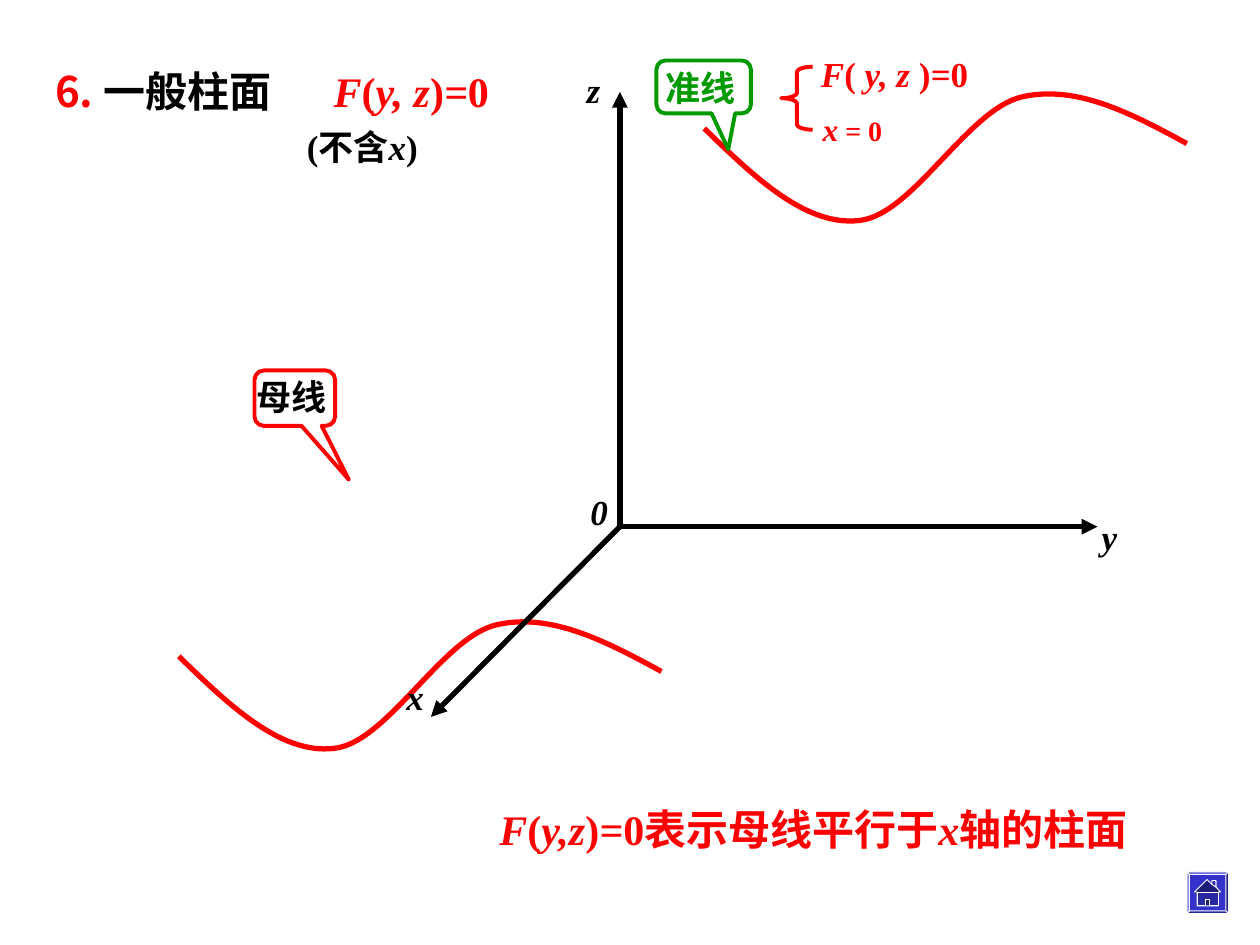
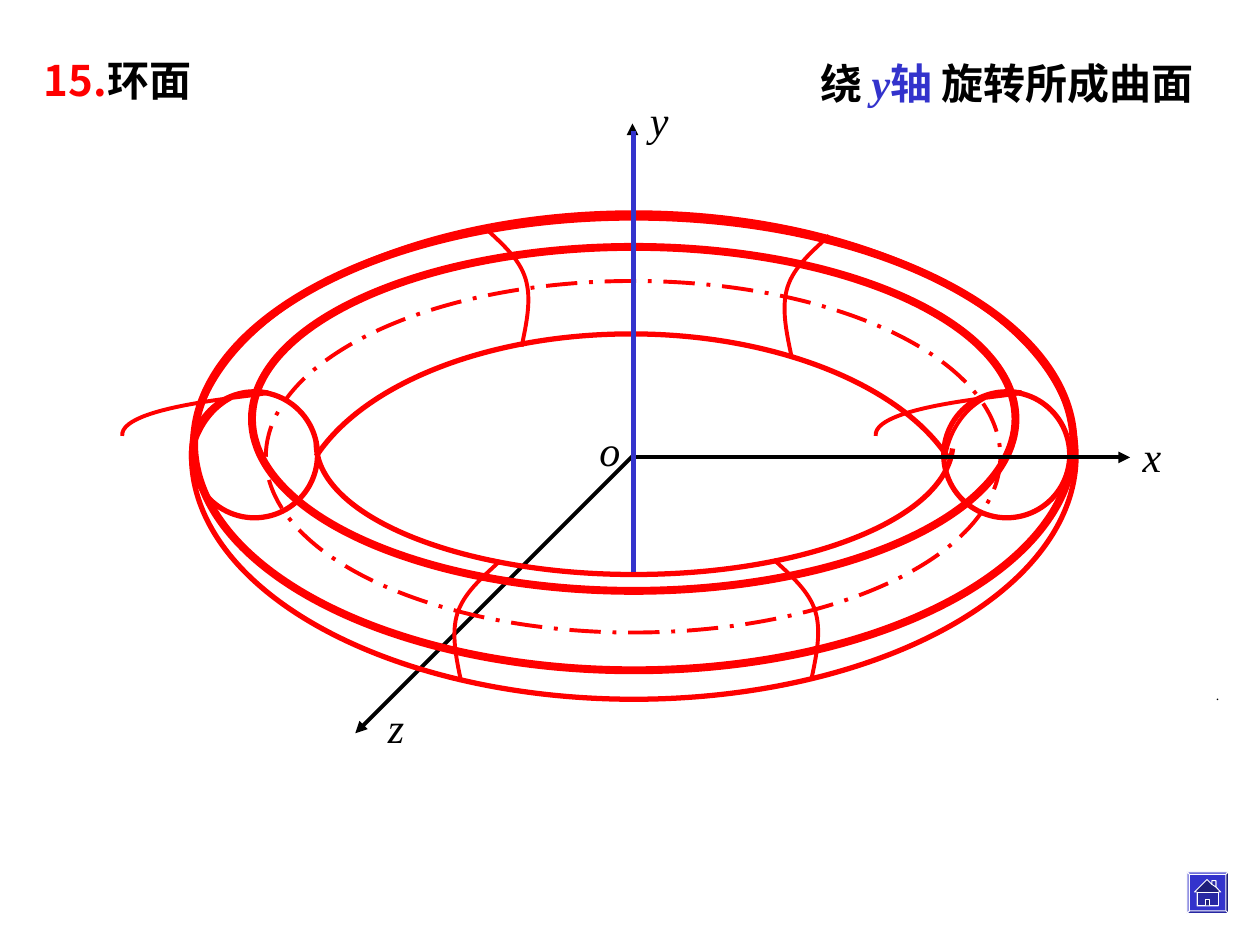
from pptx import Presentation
from pptx import util as u
from pptx.dml import color
from pptx.enum import dml, shapes, text
from pptx.oxml import ns
from lxml import etree

theme = {
    "red": color.RGBColor(0xFF, 0, 0),
    "green": color.RGBColor(0, 0x99, 0),
    "blue": color.RGBColor(0x33, 0x33, 0xCC),
    "black": color.RGBColor(0, 0, 0),
    "white": color.RGBColor(0xFF, 0xFF, 0xFF),
    "serif": "Times New Roman",
    "sans": "Noto Sans CJK SC",
    "title": u.Pt(24),
    "label": u.Pt(20),
    "note": u.Pt(18),
    "small": u.Pt(16),
    "gap": u.Pt(44),
    "dot": u.Pt(8),
}
MID, TOP = text.MSO_ANCHOR.MIDDLE, text.MSO_ANCHOR.TOP
CENTER, LEFT = text.PP_ALIGN.CENTER, text.PP_ALIGN.LEFT
OVAL = shapes.MSO_SHAPE.OVAL
CALLOUT = shapes.MSO_SHAPE.ROUNDED_RECTANGULAR_CALLOUT


def write(s, box, runs, size="label", c="black", bold=True, anchor=MID, align=CENTER,
          wrap=True, grow=True, tab=None):
    sp = s.shapes.add_textbox(*map(u.Inches, box))
    tf = sp.text_frame
    fit = text.MSO_AUTO_SIZE.SHAPE_TO_FIT_TEXT if grow else text.MSO_AUTO_SIZE.NONE
    for k, v in {"word_wrap": wrap, "vertical_anchor": anchor, "auto_size": fit}.items():
        setattr(tf, k, v)
    p = tf.paragraphs[0]
    p.alignment = align
    if tab:
        tabs = etree.SubElement(p._p.get_or_add_pPr(), ns.qn("a:tabLst"))
        etree.SubElement(tabs, ns.qn("a:tab"), pos=str(u.Inches(tab)), algn="l")
    for words, own in runs:
        r = p.add_run()
        r.text = words
        fmt = {"size": size, "c": c, "name": "serif", "italic": False} | own
        r.font.color.rgb = theme[fmt["c"]]
        for k, v in {"size": theme[fmt["size"]], "name": theme[fmt["name"]],
                     "bold": bold, "italic": fmt["italic"]}.items():
            setattr(r.font, k, v)
        etree.SubElement(r._r.get_or_add_rPr(), ns.qn("a:ea"), typeface=theme["sans"])
    return sp


def draw(s, kind, geom, c="red", width=3, fill=None, adj=(), dash=None, arrow=False, shades=()):
    if kind == "line":
        sp = s.shapes.add_connector(shapes.MSO_CONNECTOR.STRAIGHT, *map(u.Inches, geom))
    elif kind in ("curve", "faces"):
        contours = [[(u.Inches(x), u.Inches(y)) for x, y in pts]
                    for pts in (geom if kind == "faces" else [geom])]
        fb = s.shapes.build_freeform(*contours[0][0])
        for i, pts in enumerate(contours):
            if i:
                fb.move_to(*pts[0])
            fb.add_line_segments(pts[1:], close=kind == "faces")
        sp = fb.convert_to_shape()
        outline = next(sp._element.spPr.iter(ns.qn("a:path")))
        steps = list(outline)
        if kind == "curve":
            for i in range(1, len(steps), 3):
                bezier = etree.SubElement(outline, ns.qn("a:cubicBezTo"))
                for step in steps[i:i + 3]:
                    bezier.append(step[0])
                    outline.remove(step)
        else:
            size = {k: outline.get(k) for k in ("w", "h")}
            holder, tones = outline.getparent(), iter(shades)
            holder.remove(outline)
            for step in steps:
                if step.tag == ns.qn("a:moveTo"):
                    face = etree.SubElement(holder, ns.qn("a:path"), fill=next(tones), **size)
                face.append(step)
    else:
        sp = s.shapes.add_shape(kind, *map(u.Inches, geom))
    for i, v in enumerate(adj):
        sp.adjustments[i] = v
    sp.line.color.rgb = theme[c]
    sp.line.width = u.Pt(width)
    if dash:
        sp.line.dash_style = dash
    if arrow:
        etree.SubElement(sp.line._get_or_add_ln(), ns.qn("a:tailEnd"), type="triangle")
    if kind == "line":
        etree.SubElement(sp._element.spPr, ns.qn("a:effectLst"))
        return
    sp.shadow.inherit = False
    if fill:
        sp.fill.solid()
        sp.fill.fore_color.rgb = theme[fill]
    else:
        sp.fill.background()


prs = Presentation()
prs.slide_width, prs.slide_height = u.Inches(10), u.Inches(7.5)
cylinder, torus = [prs.slides.add_slide(prs.slide_layouts[6]) for _ in range(2)]
it = {"italic": True}

s = cylinder
directrix = [(5.59, 1.02), (5.99, 1.41), (6.4, 1.8), (6.82, 1.75), (7.24, 1.71),
             (7.68, 0.87), (8.11, 0.77), (8.54, 0.67), (8.98, 0.9), (9.42, 1.14)]
for dx, dy in [(0, 0), (-4.17, 4.19)]:
    draw(s, "curve", [(x + dx, y + dy) for x, y in directrix])

draw(s, CALLOUT, (2.02, 2.94, 0.64, 0.44), width=2.25, adj=(0.67, 1.47, 0.17))
write(s, (1.8, 2.93, 1.03, 0.44), [("母线", {})])
write(s, (5.18, 0.48, 0.81, 0.44), [("准线", {})], c="green", anchor=TOP, align=LEFT)
draw(s, CALLOUT, (5.21, 0.48, 0.75, 0.42), c="green", width=2.25, adj=(0.26, 1.18, 0.17))

write(s, (2.22, 0.94, 1.31, 0.44), [("(不含", {}), ("x", it), (")", {})], wrap=False)
write(s, (6.33, 0.36, 1.54, 0.44), [("F", it), ("(", {}), (" y, z", it), (" )", {}),
                                    ("=", it), ("0", {})], c="red")
write(s, (6.36, 0.82, 0.81, 0.4), [("x", it), (" = 0", {"size": "small"})], size="note", c="red")
draw(s, shapes.MSO_SHAPE.LEFT_BRACE, (6.2, 0.53, 0.25, 0.5), width=2.25, adj=(0.17, 0.5))

for end in [(8.71, 4.18), (4.92, 0.73), (3.42, 5.69)]:
    draw(s, "line", (4.92, 4.18, *end), c="black", arrow=True)
for name, x, y, w in [("x", 2.91, 5.31, 0.77), ("z", 4.23, 0.49, 0.96),
                      ("y", 8.53, 4.04, 0.55), ("0", 4.45, 3.84, 0.61)]:
    write(s, (x, y, w, 0.44), [(name, it)])

write(s, (3.74, 6.33, 5.43, 0.5),
      [("F", it), ("(", {}), ("y,z", it), (")", {}), ("=", it), ("0", {}),
       ("表示母线平行于", {"name": "sans"}), ("x", it), ("轴的柱面", {"name": "sans"})],
      size="title", c="red", wrap=False)
write(s, (0.34, 0.33, 3.7, 0.56),
      [("6. ", {"name": "sans"}), ("一般", {"name": "sans", "c": "black"}),
       ("柱面", {"c": "black"}), ("\t", {"size": "gap"}),
       ("F", it), ("(", {}), ("y, z", it), (")", {}), ("=", it), ("0", {})],
      size="title", c="red", align=LEFT, grow=False, tab=2.21)

s = torus
heading = write(s, (0.25, 0.38, 1.76, 0.6),
                [("15.", {"name": "sans", "c": "red"}), ("环面", {})],
                size="title", anchor=TOP, align=LEFT, grow=False)
heading.fill.solid()
heading.fill.fore_color.rgb = theme["white"]

draw(s, "line", (5.03, 3.61, 2.82, 5.82), c="black", width=2.25, arrow=True)
for box, width, dash in [((1.52, 3.11, 1, 1), 3, None),
                         ((7.49, 3.11, 1, 1), 3, None),
                         ((1.54, 1.72, 6.98, 3.6), 4.5, None),
                         ((2, 1.96, 6.06, 2.73), 4.5, None),
                         ((2.11, 2.23, 5.83, 2.79), 2.25, dml.MSO_LINE.LONG_DASH_DOT),
                         ((1.52, 1.69, 7.02, 3.86), 3, None)]:
    draw(s, OVAL, box, width=width, dash=dash)

meridian = [(0, 0), (0.14, 0.13), (0.28, 0.25), (0.33, 0.41),
            (0.38, 0.57), (0.34, 0.76), (0.3, 0.95)]
for x, y, side in [(6.14, 4.44, 1), (3.84, 1.8, 1), (6.58, 1.87, -1), (3.96, 4.46, -1)]:
    draw(s, "curve", [(x + side * dx, y + dy) for dx, dy in meridian], width=2.25)

draw(s, "curve", [(2.51, 3.62), (2.9, 3.03), (3.9, 2.65), (5.01, 2.65),
                  (6.14, 2.65), (7.15, 3.05), (7.53, 3.64)])
draw(s, "curve", [(2.51, 3.5), (2.51, 3.5), (2.51, 3.51), (2.51, 3.52), (2.51, 4.09),
                  (3.64, 4.56), (5.03, 4.56), (6.39, 4.56), (7.5, 4.12), (7.56, 3.56)])
section = [(1.52, 3.63), (1.57, 3.31), (1.82, 3.08), (2.1, 3.11),
           (2.33, 3.13), (0.94, 3.19), (0.97, 3.46)]
for dx in (5.98, 0):
    draw(s, "curve", [(x + dx, y) for x, y in section], width=2.25)

write(s, (6.41, 0.41, 3.59, 0.5),
      [("绕 ", {}), ("y", {"c": "blue", "italic": True}), ("轴", {"c": "blue"}),
       (" 旋转所成曲面", {})], size="title", anchor=TOP, align=LEFT)
for ends in [(5.02, 4.54, 5.02, 0.98), (5.01, 3.63, 8.97, 3.63)]:
    draw(s, "line", ends, c="black", width=2.25, arrow=True)
for name, x, y, w in [("z", 2.98, 5.52, 0.54), ("y", 5.06, 0.7, 0.56),
                      ("x", 8.97, 3.37, 0.43), ("o", 4.66, 3.32, 0.26)]:
    write(s, (x, y, w, 0.5), [(name, it)], size="title", bold=False, anchor=TOP, align=LEFT)
write(s, (9.58, 5.4, 0.17, 0.23), [(".", {})], size="dot", bold=False, wrap=False, grow=False)
draw(s, "line", (5.03, 4.54, 5.03, 1.04), c="blue")

outer = [(9.42, 6.92), (9.75, 6.92), (9.75, 7.25), (9.42, 7.25)]
inner = [(9.44, 6.94), (9.73, 6.94), (9.73, 7.23), (9.44, 7.23)]
edges = [[outer[i], outer[(i + 1) % 4], inner[(i + 1) % 4], inner[i]] for i in range(4)]
chimney = [(9.62, 7.02), (9.62, 6.99), (9.65, 6.99), (9.65, 7.04)]
house = [(9.58, 6.98), *chimney, (9.69, 7.08), (9.67, 7.08), (9.67, 7.19),
         (9.5, 7.19), (9.5, 7.08), (9.48, 7.08)]
walls = [(9.57, 7.14), (9.6, 7.14), (9.6, 7.19), (9.67, 7.19), (9.67, 7.08),
         (9.5, 7.08), (9.5, 7.19), (9.57, 7.19)]
shades = ["norm", "lightenLess", "darken", "darkenLess", "lighten",
          "darken", "darkenLess", "darkenLess"]
for s in prs.slides:
    draw(s, "faces", [outer, *edges, house, chimney, walls],
         c="white", width=0.5, fill="blue", shades=shades)

prs.save("out.pptx")
